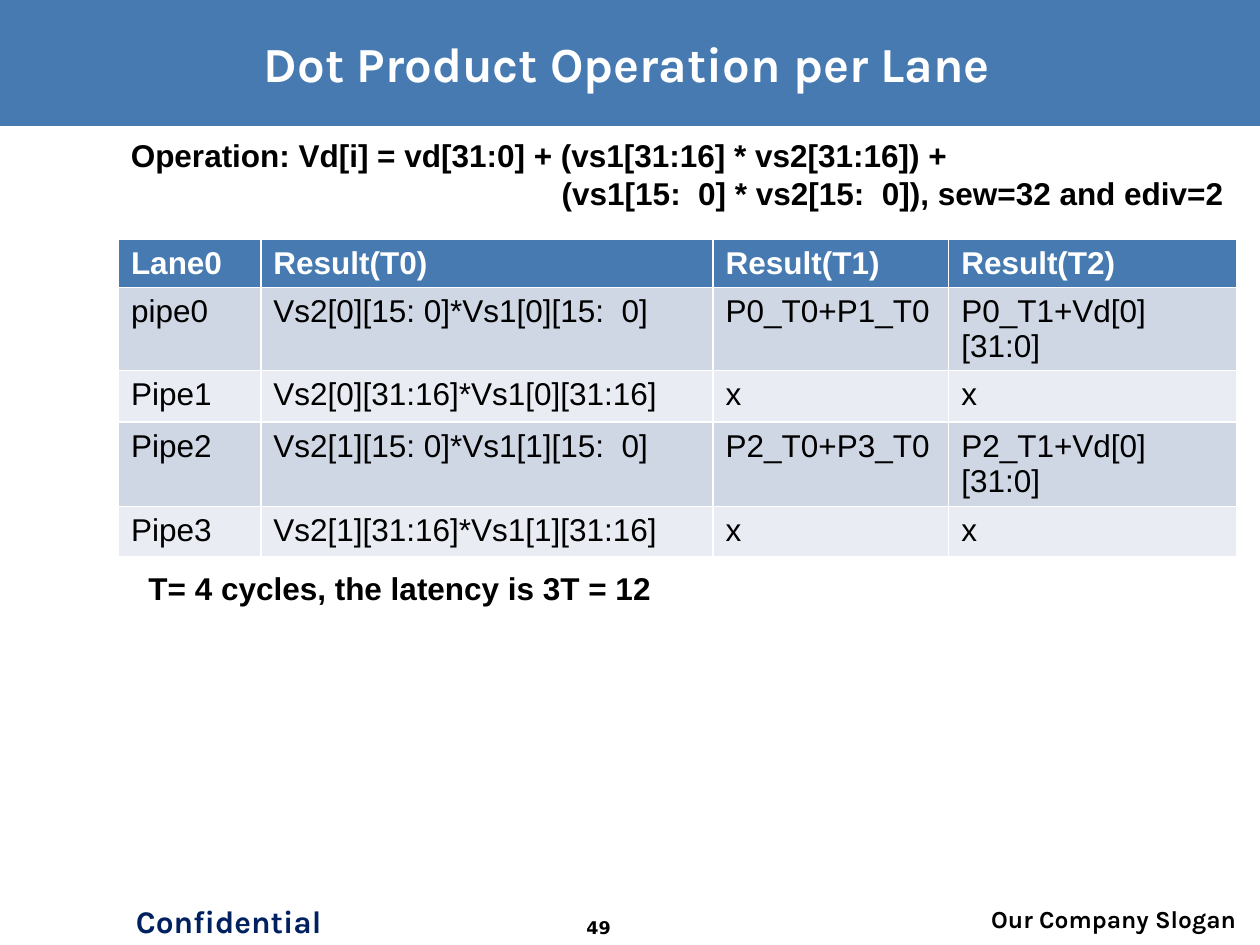
"""Build the slide on the dot product operation per lane."""
from lxml.etree import SubElement
from pptx import Presentation
from pptx.dml.color import RGBColor
from pptx.enum.shapes import MSO_SHAPE
from pptx.enum.text import MSO_ANCHOR, PP_ALIGN
from pptx.oxml.ns import qn
from pptx.util import Inches, Pt

COLORS = {
    "blue": "477AB1", "navy": "002060", "white": "FFFFFF", "black": "000000",
    "odd_row": "CFD7E4", "even_row": "E9ECF2",
}
WIDTH, HEIGHT = 10, 7.5
TITLE = "Dot Product Operation per Lane"
TABLE_ROWS = [
    ("Lane0", "Result(T0)", "Result(T1)", "Result(T2)"),
    ("pipe0", "Vs2[0][15: 0]*Vs1[0][15:  0]", "P0_T0+P1_T0", "P0_T1+Vd[0][31:0]"),
    ("Pipe1", "Vs2[0][31:16]*Vs1[0][31:16]", "x", "x"),
    ("Pipe2", "Vs2[1][15: 0]*Vs1[1][15:  0]", "P2_T0+P3_T0", "P2_T1+Vd[0][31:0]"),
    ("Pipe3", "Vs2[1][31:16]*Vs1[1][31:16]", "x", "x"),
]
COLUMN_WIDTHS = (1.13, 3.59, 1.87, 2.29)
ROW_HEIGHTS = (0.38, 0.4, 0.41, 0.67, 0.4)
TABLE_LEFT, TABLE_TOP = 0.94, 1.9
OPERATION = [
    ("Operation: Vd[i] = vd[31:0] + (vs1[31:16] * vs2[31:16]) +", 0),
    ("(vs1[15:  0] * vs2[15:  0]), sew=32 and ediv=2", 3.42),
]
LATENCY = [("T= 4 cycles, the latency is 3T = 12", 0)]
BODY_BOXES = [
    (OPERATION, (TABLE_LEFT, 1.03, 9.06, 0.71)),
    (LATENCY, (1.08, 4.47, 4.95, 0.4)),
]
FOOTERS = [
    ("Confidential", (0.94, 7.1, 1.75, 0.42), PP_ALIGN.CENTER, 18, "Karla", "navy"),
    ("Our Company Slogan", (7.54, 7.16, 2.37, 0.27), PP_ALIGN.RIGHT, 14, "Karla", "black"),
    ("49", (4.29, 7.22, 0.92, 0.28), PP_ALIGN.CENTER, 10, "DejaVu Sans", "black"),
]


def color(name):
    return RGBColor.from_string(COLORS[name])


def add_run(paragraph, text, size=18, font="Arial", fill="black", bold=True):
    run = paragraph.add_run()
    run.text = text
    run.font.size, run.font.name, run.font.bold = Pt(size), font, bold
    run.font.color.rgb = color(fill)
    return run


def add_text_box(slide, place):
    frame = slide.shapes.add_textbox(*map(Inches, place)).text_frame
    frame.word_wrap = True
    return frame


def add_band(slide):
    band = slide.shapes.add_shape(MSO_SHAPE.RECTANGLE, 0, 0, Inches(WIDTH), Inches(1))
    band.shadow.inherit = False
    band.fill.solid()
    band.fill.fore_color.rgb = color("blue")
    band.line.fill.background()
    slide.shapes.title.element.addprevious(band.element)


def set_title(slide):
    title = slide.shapes.title
    title.left, title.top, title.width, title.height = map(Inches, (0.22, 0.17, 9.51, 0.66))
    title.text_frame.vertical_anchor = MSO_ANCHOR.MIDDLE
    paragraph = title.text_frame.paragraphs[0]
    paragraph.alignment = PP_ALIGN.CENTER
    run = add_run(paragraph, TITLE, 28, "Karla", "white")
    effects = SubElement(run.font.fill._xPr, qn("a:effectLst"))
    run.font.fill._xPr.find(qn("a:solidFill")).addnext(effects)
    shadow = SubElement(effects, qn("a:outerShdw"), dist="38100", dir="2700000")
    SubElement(shadow, qn("a:srgbClr"), val=COLORS["black"])


def add_lane_table(slide):
    place = (TABLE_LEFT, TABLE_TOP, sum(COLUMN_WIDTHS), sum(ROW_HEIGHTS))
    table = slide.shapes.add_table(
        len(TABLE_ROWS), len(COLUMN_WIDTHS), *map(Inches, place)).table
    for column, width in zip(table.columns, COLUMN_WIDTHS):
        column.width = Inches(width)
    for index, (row, height, texts) in enumerate(zip(table.rows, ROW_HEIGHTS, TABLE_ROWS)):
        row.height = Inches(height)
        header = index == 0
        fill = "blue" if header else "odd_row" if index % 2 else "even_row"
        for cell, text in zip(row.cells, texts):
            cell.fill.solid()
            cell.fill.fore_color.rgb = color(fill)
            add_run(cell.text_frame.paragraphs[0], text,
                    fill="white" if header else "black", bold=header)


def add_body(slide):
    for lines, place in BODY_BOXES:
        frame = add_text_box(slide, place)
        for index, (text, indent) in enumerate(lines):
            paragraph = frame.add_paragraph() if index else frame.paragraphs[0]
            paragraph._p.get_or_add_pPr().set("marL", str(Inches(indent)))
            add_run(paragraph, text)


def add_footers(slide):
    for text, place, alignment, size, font, fill in FOOTERS:
        frame = add_text_box(slide, place)
        frame.vertical_anchor = MSO_ANCHOR.MIDDLE
        frame.paragraphs[0].alignment = alignment
        add_run(frame.paragraphs[0], text, size, font, fill)


def main():
    presentation = Presentation()
    presentation.slide_width, presentation.slide_height = Inches(WIDTH), Inches(HEIGHT)
    slide = presentation.slides.add_slide(presentation.slide_layouts[5])
    add_band(slide)
    set_title(slide)
    add_lane_table(slide)
    add_body(slide)
    add_footers(slide)
    presentation.save("out.pptx")


if __name__ == "__main__":
    main()
